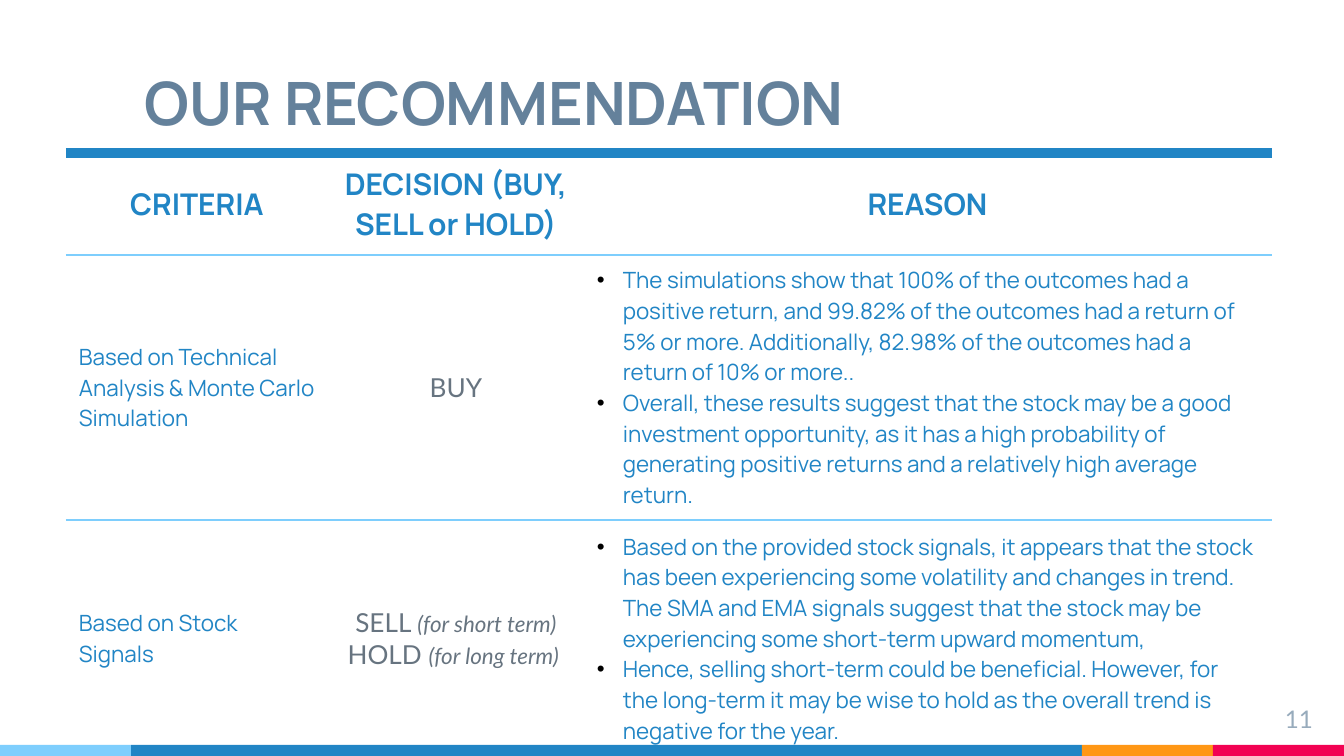
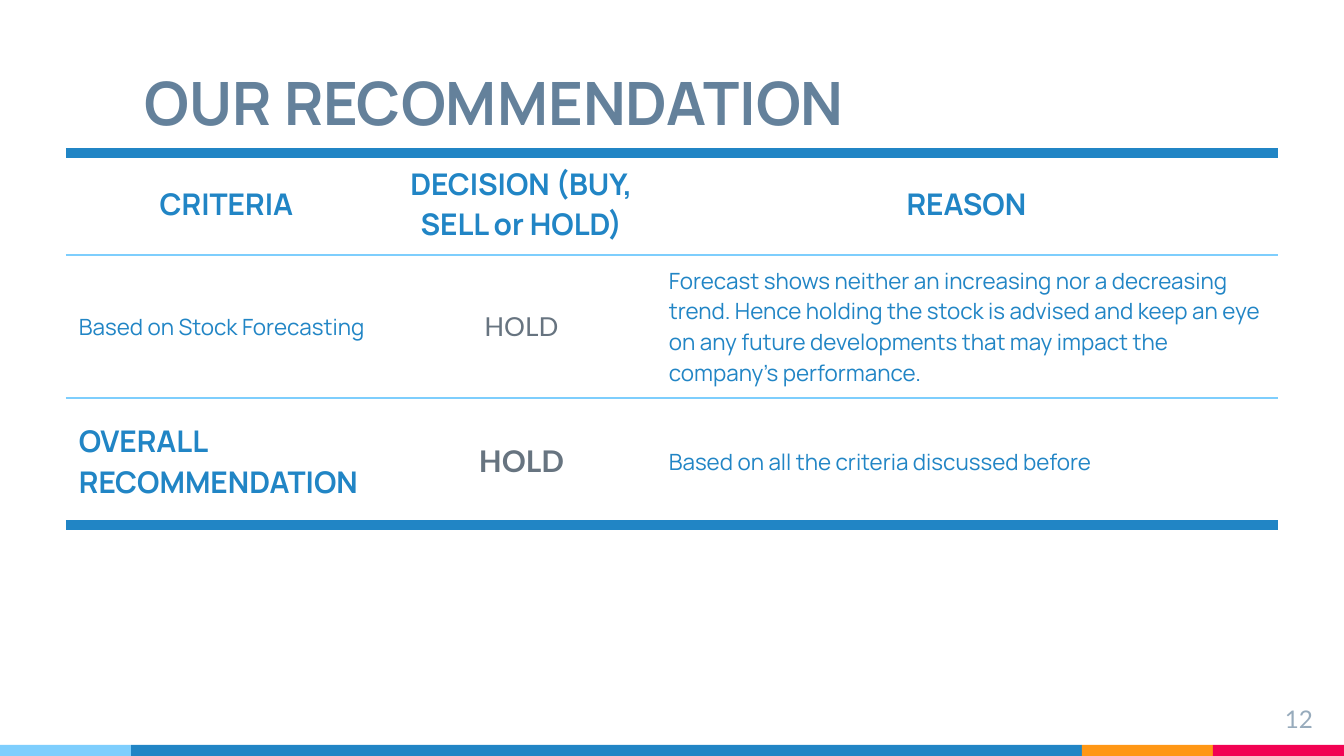
from dataclasses import dataclass

from lxml.etree import SubElement
from pptx import Presentation
from pptx.dml.color import RGBColor
from pptx.enum.shapes import MSO_SHAPE as Shape
from pptx.enum.text import MSO_ANCHOR as Anchor, PP_ALIGN as Align
from pptx.oxml import parse_xml
from pptx.oxml.ns import nsdecls, qn
from pptx.util import Pt


@dataclass(frozen=True)
class Theme:
    sky: str = "7ECEFD"
    blue: str = "2185C5"
    orange: str = "FF9715"
    pink: str = "F20253"
    slate: str = "64819B"
    grey: str = "677480"
    mist: str = "97ABBC"
    bullet: str = "000000"
    head_font: str = "Manrope"
    body_font: str = "Lato"
    title: int = 32
    header: int = 16
    decision: int = 14
    number: int = 13
    text: int = 12
    thick: float = 6
    thin: float = 0.75


T = Theme()
W, H = 1344, 756
PAD = 13
INDENT = 26


def px(n):
    return round(n * 914400 / 134.4)


def style(font, size, color, **extra):
    return dict(name=font, size=size, color=color, bold=False, italic=False) | extra


TITLE = style(T.head_font, T.title, T.slate, bold=True)
HEADER = style(T.head_font, T.header, T.blue, bold=True)
TEXT = style(T.head_font, T.text, T.blue)
DECISION = style(T.body_font, T.decision, T.grey)
VERDICT = style(T.body_font, T.header, T.grey, bold=True)
TERM = style(T.body_font, T.text, T.grey, italic=True)
NUMBER = style(T.body_font, T.number, T.mist)


@dataclass(frozen=True)
class Cell:
    """Paragraphs of a cell, each a list of (text, style) runs."""
    paragraphs: list
    align: Align = Align.LEFT
    bulleted: bool = False


def left(text, fmt=TEXT):
    return Cell([[(text, fmt)]])


def centred(text, fmt):
    return Cell([[(text, fmt)]], Align.CENTER)


def bullets(*texts):
    return Cell([[(text, TEXT)] for text in texts], bulleted=True)


def add_run(p, text, fmt):
    r = p.add_run()
    r.text = text
    for key, value in fmt.items():
        if key == "color":
            r.font.color.rgb = RGBColor.from_string(value)
        else:
            setattr(r.font, key, Pt(value) if key == "size" else value)


def add_bullet(p):
    pPr = p._p.get_or_add_pPr()
    pPr.set("marL", str(px(INDENT)))
    pPr.set("indent", str(-px(INDENT)))
    color = SubElement(pPr, qn("a:buClr"))
    SubElement(color, qn("a:srgbClr"), val=T.bullet)
    SubElement(pPr, qn("a:buFont"), typeface="Arial")
    SubElement(pPr, qn("a:buChar"), char="•")


def add_text(s, box, text, fmt, align=Align.LEFT):
    tf = s.shapes.add_textbox(*map(px, box)).text_frame
    frame = dict(word_wrap=True, vertical_anchor=Anchor.TOP, margin_left=px(PAD),
                 margin_right=px(PAD), margin_top=px(PAD), margin_bottom=px(PAD))
    for key, value in frame.items():
        setattr(tf, key, value)
    p = tf.paragraphs[0]
    p.alignment = align
    add_run(p, text, fmt)


def add_footer_band(s, box):
    """Four colour blocks: narrow ends are one unit wide, the blue one fills the rest."""
    x, y, w, h = box
    unit = 131
    blocks = [(T.sky, unit), (T.blue, w - 3 * unit), (T.orange, unit), (T.pink, unit)]
    for color, width in blocks:
        sp = s.shapes.add_shape(Shape.RECTANGLE, px(x), px(y), px(width), px(h))
        sp.shadow.inherit = False
        sp.fill.solid()
        sp.fill.fore_color.rgb = RGBColor.from_string(color)
        sp.line.fill.background()
        x += width


def set_borders(cell, top, bottom):
    """Draw only the horizontal edges, each a (colour, points) pair."""
    tcPr = cell._tc.get_or_add_tcPr()
    edges = dict(lnL=None, lnR=None, lnT=top, lnB=bottom)
    for i, (tag, edge) in enumerate(edges.items()):
        color, points = edge or (None, 0)
        fill = (f'<a:solidFill><a:srgbClr val="{color}"/></a:solidFill>'
                if edge else "<a:noFill/>")
        tcPr.insert(i, parse_xml(
            f'<a:{tag} {nsdecls("a")} w="{Pt(points)}">{fill}</a:{tag}>'))


def fill_cell(cell, content):
    cell.fill.background()
    frame = dict(vertical_anchor=Anchor.MIDDLE, margin_left=px(PAD),
                 margin_right=px(PAD + 1), margin_top=px(9), margin_bottom=px(9))
    for key, value in frame.items():
        setattr(cell, key, value)
    tf = cell.text_frame
    for i, runs in enumerate(content.paragraphs):
        p = tf.add_paragraph() if i else tf.paragraphs[0]
        p.alignment = content.align
        if content.bulleted:
            add_bullet(p)
        for text, fmt in runs:
            add_run(p, text, fmt)


def add_criteria_table(s, x, y, widths, heights, rows, closed):
    """Header plus rows; a closed table ends in a thick rule."""
    header = [centred(t, HEADER)
              for t in ("CRITERIA", "DECISION (BUY, SELL or HOLD)", "REASON")]
    grid = [header, *rows]
    box = (x, y, sum(widths), sum(heights))
    table = s.shapes.add_table(len(grid), len(header), *map(px, box)).table
    table.first_row = table.horz_banding = False
    for column, width in zip(table.columns, widths):
        column.width = px(width)
    for row, height in zip(table.rows, heights):
        row.height = px(height)

    thick, thin = (T.blue, T.thick), (T.sky, T.thin)
    rules = [thick] + [thin] * len(rows) + [thick if closed else thin]
    for i, row in enumerate(grid):
        for j, content in enumerate(row):
            cell = table.cell(i, j)
            fill_cell(cell, content)
            set_borders(cell, rules[i], rules[i + 1])


def add_recommendation_slide(prs, number, widths, heights, rows, closed):
    s = prs.slides.add_slide(prs.slide_layouts[6])
    add_footer_band(s, (0, 745, W, 11))
    add_text(s, (132, 53, 950, 126), "OUR RECOMMENDATION", TITLE)
    add_criteria_table(s, 66, 153, widths, heights, rows, closed)
    add_text(s, (1246, 691, 80, 46), str(number), NUMBER, Align.RIGHT)


SIGNAL_ROWS = [
    [
        left("Based on Technical Analysis & Monte Carlo Simulation"),
        centred("BUY", DECISION),
        bullets(
            "The simulations show that 100% of the outcomes had a positive return, and "
            "99.82% of the outcomes had a return of 5% or more. Additionally, 82.98% of "
            "the outcomes had a return of 10% or more..",
            "Overall, these results suggest that the stock may be a good investment "
            "opportunity, as it has a high probability of generating positive returns "
            "and a relatively high average return."),
    ],
    [
        left("Based on Stock Signals"),
        Cell([[("SELL ", DECISION), ("(for short term)", TERM)],
              [("HOLD ", DECISION), ("(for long term) ", TERM)]], Align.CENTER),
        bullets(
            "Based on the provided stock signals, it appears that the stock has been "
            "experiencing some volatility and changes in trend. The SMA and EMA signals "
            "suggest that the stock may be experiencing some short-term upward momentum,",
            "Hence, selling short-term could be beneficial. However, for the long-term it "
            "may be wise to hold as the overall trend is negative for the year."),
    ],
]

OVERALL_ROWS = [
    [
        left("Based on Stock Forecasting"),
        centred("HOLD", DECISION),
        left("Forecast shows neither an increasing nor a decreasing trend. Hence holding "
             "the stock is advised and keep an eye on any future developments that may "
             "impact the company's performance."),
    ],
    [
        left("OVERALL RECOMMENDATION", HEADER),
        centred("HOLD", VERDICT),
        left("Based on all the criteria discussed before"),
    ],
]


def main():
    prs = Presentation()
    prs.slide_width, prs.slide_height = px(W), px(H)
    add_recommendation_slide(prs, 11, (263, 255, 688), (102, 265, 237),
                             SIGNAL_ROWS, closed=False)
    add_recommendation_slide(prs, 12, (322, 268, 622), (102, 143, 127),
                             OVERALL_ROWS, closed=True)
    prs.save("out.pptx")


if __name__ == "__main__":
    main()
